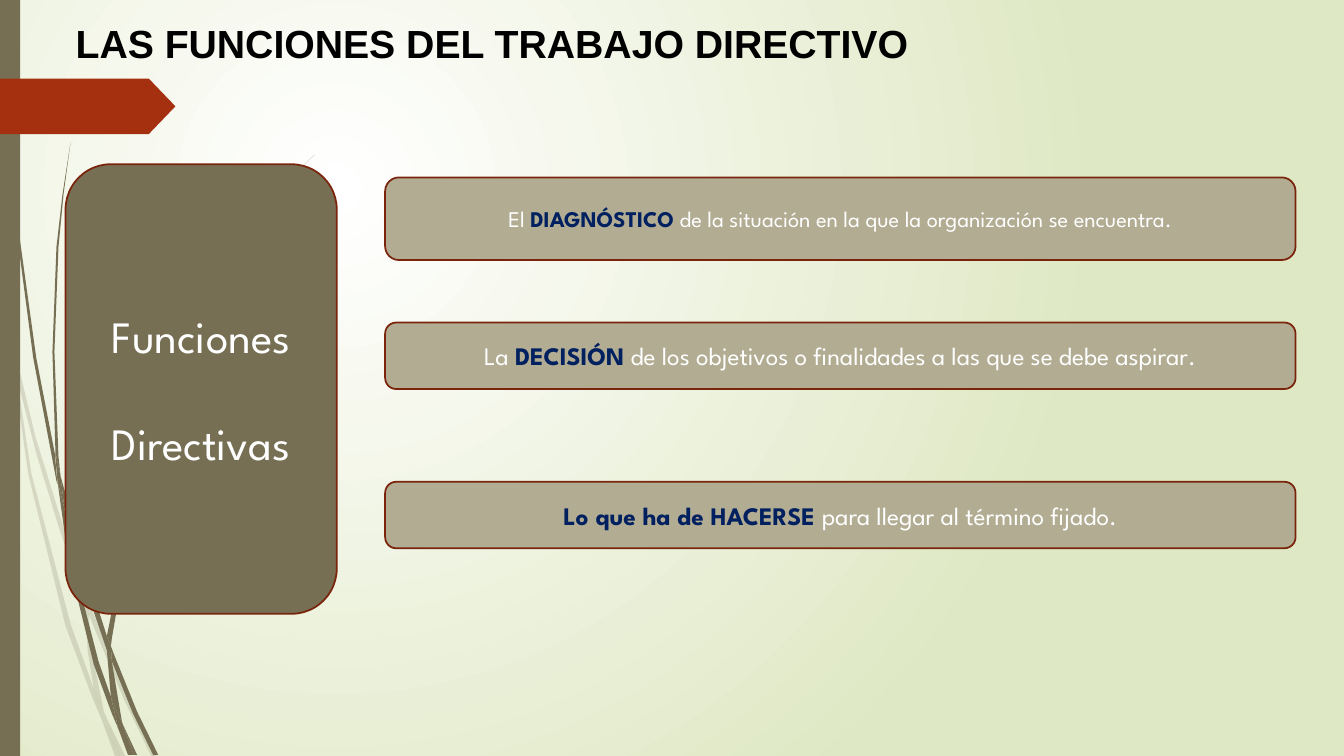
import pptx
import pptx.util
import pptx.oxml
import pptx.oxml.ns
from pptx.dml.color import RGBColor
from pptx.enum.shapes import MSO_SHAPE
from pptx.enum.text import MSO_ANCHOR, PP_ALIGN

PX = 9144  # EMU per px, 100 px to the inch
WIDTH, HEIGHT = 1333, 750
COLORS = {
    "olive": "766F54", "sand": "B2AC93", "rust": "A53010", "edge": "7A240C",
    "navy": "002060", "white": "FFFFFF", "black": "000000", "mist": "DFE8C4",
}
BODY_FONT = "League Spartan"

# Outlines of the grass blades, in px
FAINT_BLADES = [
    [(11, 350), (9, 322), (0, 282), (0, 299), (10, 344)],
    [(58, 522), (84, 599), (85, 586), (62, 520), (35, 433), (14, 345), (17, 376), (36, 450)],
    [(92, 607), (88, 596), (88, 610), (123, 694), (150, 750), (155, 750), (127, 692)],
    [(119, 750), (124, 750), (105, 711)],
    [(93, 683), (70, 619), (31, 469), (17, 376), (11, 350), (28, 470), (65, 621),
     (92, 693), (101, 714), (99, 707)],
    [(84, 599), (87, 646), (93, 683), (96, 692), (105, 711), (103, 706), (91, 646),
     (88, 610), (88, 608)],
    [(88, 584), (110, 462), (160, 349), (229, 245), (268, 198), (290, 175), (312, 154),
     (312, 153), (289, 175), (268, 197), (228, 244), (158, 348), (107, 461), (85, 584),
     (85, 586), (88, 596)],
    [(101, 714), (114, 750), (119, 750)],
    [(88, 608), (88, 610), (88, 596), (85, 586), (84, 599)],
    [(96, 692), (93, 683), (99, 707), (101, 714), (119, 750), (105, 711)],
]
SOLID_BLADES = [
    [(7, 110), (17, 233), (33, 355), (56, 477), (57, 481), (55, 457), (55, 453), (36, 355),
     (19, 232), (8, 109), (5, 48), (4, 0), (3, 0), (4, 48)],
    [(88, 592), (106, 645), (106, 633), (106, 631), (93, 590), (60, 472), (64, 505)],
    [(113, 649), (110, 641), (111, 656), (132, 708), (152, 749), (157, 749), (136, 706)],
    [(110, 691), (98, 657), (72, 556), (64, 505), (57, 477), (68, 557), (93, 659),
     (111, 708), (117, 722), (116, 717)],
    [(60, 472), (58, 453), (54, 349), (58, 245), (63, 193), (70, 141), (62, 193), (56, 245),
     (52, 349), (55, 449)],
    [(133, 749), (136, 749), (122, 719)],
    [(57, 477), (64, 505), (60, 472), (55, 449), (55, 453)],
    [(111, 633), (125, 552), (158, 476), (205, 406), (231, 374), (245, 359), (261, 344),
     (260, 344), (245, 358), (231, 373), (204, 405), (156, 474), (122, 551), (106, 631),
     (110, 641)],
    [(117, 722), (127, 749), (131, 749)],
    [(106, 645), (110, 691), (116, 706), (122, 719), (121, 716), (111, 656), (109, 651)],
    [(106, 645), (109, 651), (111, 656), (110, 641), (106, 631), (106, 633)],
    [(116, 706), (110, 691), (116, 717), (117, 722), (130, 749), (133, 749), (122, 719)],
]


def rgb(name):
    return RGBColor.from_string(COLORS[name])


def emu(*lengths):
    return [n * PX for n in lengths]


def paint(sp, fill, line=None):
    sp.shadow.inherit = False
    sp.fill.solid()
    sp.fill.fore_color.rgb = rgb(fill)
    if line:
        sp.line.color.rgb = rgb(line)
        sp.line.width = pptx.util.Pt(1.25)
    else:
        sp.line.fill.background()


def add_background(slide):
    """Radial gradient, white a quarter of the way in from the top left."""
    fill = slide.background.fill
    fill.gradient()
    for stop, position, name in zip(fill.gradient_stops, (0, 1), ("white", "mist")):
        stop.position = position
        stop.color.rgb = rgb(name)
    grad = slide.element.find(".//" + pptx.oxml.ns.qn("a:gradFill"))
    grad.replace(grad.find(pptx.oxml.ns.qn("a:lin")), pptx.oxml.parse_xml(
        f'<a:path {pptx.oxml.ns.nsdecls("a")} path="circle">'
        '<a:fillToRect l="50000" t="50000" r="100000" b="100000"/></a:path>'))


def add_blades(slide, blades, opacity=100):
    group = slide.shapes.add_group_shape()
    for start, *rest in blades:
        builder = group.shapes.build_freeform(*start, scale=PX)
        builder.add_line_segments(rest)
        sp = builder.convert_to_shape()
        paint(sp, "olive")
        if opacity < 100:
            color = sp.element.spPr.find(".//" + pptx.oxml.ns.qn("a:srgbClr"))
            color.append(pptx.oxml.parse_xml(
                f'<a:alpha {pptx.oxml.ns.nsdecls("a")} val="{opacity * 1000}"/>'))


def add_side_decoration(slide):
    add_blades(slide, FAINT_BLADES, opacity=20)
    add_blades(slide, SOLID_BLADES)
    bar = slide.shapes.add_shape(MSO_SHAPE.RECTANGLE, *emu(0, 0, 20, HEIGHT))
    paint(bar, "olive")
    flag = slide.shapes.add_shape(MSO_SHAPE.PENTAGON, *emu(0, 78, 174, 55))
    flag.adjustments[0] = 0.48
    paint(flag, "rust")


def add_title(slide, text, box):
    sp = slide.shapes.title
    sp.left, sp.top, sp.width, sp.height = emu(*box)
    tf = sp.text_frame
    tf.text = text
    tf.vertical_anchor = MSO_ANCHOR.MIDDLE
    p = tf.paragraphs[0]
    p.alignment = PP_ALIGN.LEFT
    p.font.name, p.font.size, p.font.bold = "Arial", pptx.util.Pt(28), True
    p.font.color.rgb = rgb("black")


def add_card(slide, box, fill, paragraphs, size, gap=0):
    """Rounded box; each paragraph is a list of (text, is_key) runs."""
    sp = slide.shapes.add_shape(MSO_SHAPE.ROUNDED_RECTANGLE, *emu(*box))
    paint(sp, fill, "edge")
    tf = sp.text_frame
    tf.word_wrap = True
    tf.vertical_anchor = MSO_ANCHOR.MIDDLE
    for i, runs in enumerate(paragraphs):
        p = tf.add_paragraph() if i else tf.paragraphs[0]
        p.alignment = PP_ALIGN.CENTER
        p.font.name, p.font.size = BODY_FONT, pptx.util.Pt(size)
        if i:
            p.space_before = pptx.util.Pt(gap)
        for text, is_key in runs:
            r = p.add_run()
            r.text = text
            r.font.bold = is_key
            r.font.color.rgb = rgb("navy" if is_key else "white")


def add_functions(slide, left, width):
    rows = [
        (176, 82, 16, [("El ", False), ("DIAGNÓSTICO", True),
                       (" de la situación en la que la organización se encuentra.", False)]),
        (320, 66, 18, [("La ", False), ("DECISIÓN", True),
                       (" de los objetivos o finalidades a las que se debe aspirar.", False)]),
        (478, 66, 18, [("Lo que ha de HACERSE ", True),
                       ("para llegar al término fijado.", False)]),
    ]
    for top, height, size, runs in rows:
        add_card(slide, (left, top, width, height), "sand", [runs], size)


def main():
    prs = pptx.Presentation()
    prs.slide_width, prs.slide_height = emu(WIDTH, HEIGHT)
    slide = prs.slides.add_slide(prs.slide_layouts[5])
    add_background(slide)
    add_side_decoration(slide)
    add_title(slide, "LAS FUNCIONES DEL TRABAJO DIRECTIVO", (65, 14, 1229, 57))
    add_card(slide, (65, 163, 269, 446), "olive",
             [[("Funciones", False)], [("Directivas", False)]], size=32, gap=38)
    add_functions(slide, left=382, width=903)
    prs.save("out.pptx")


if __name__ == "__main__":
    main()
